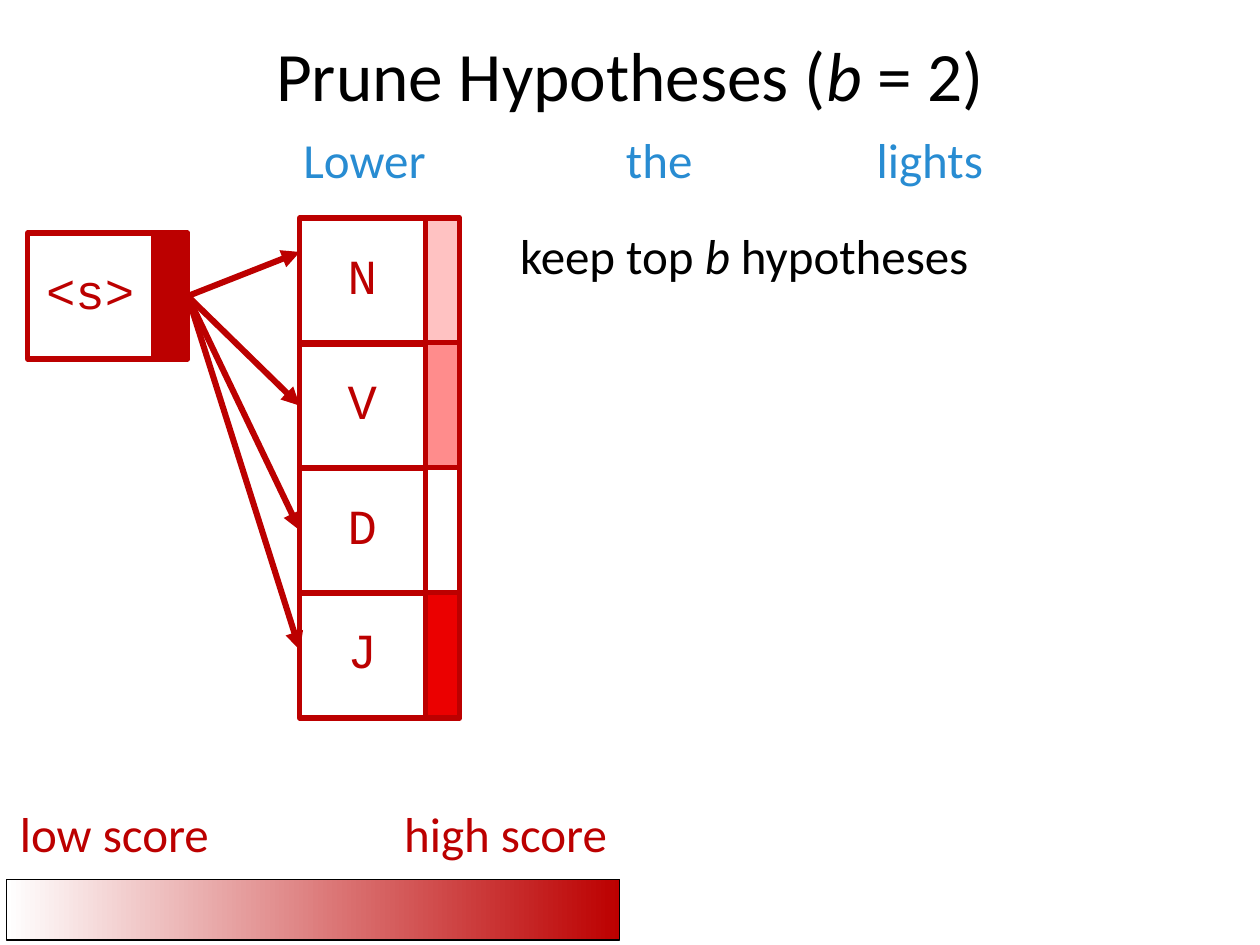
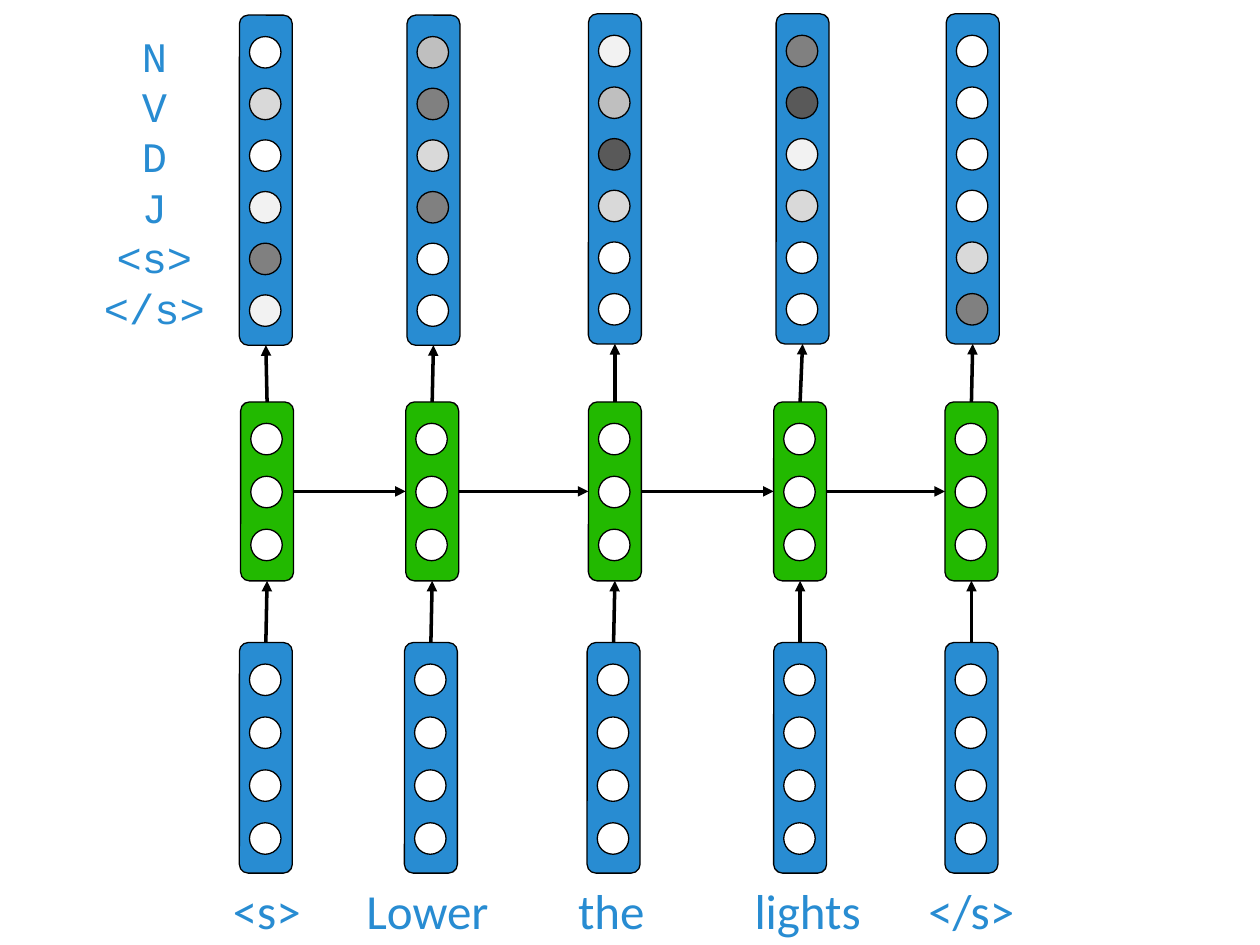
"""Build two slides on beam-search pruning and a recurrent tagger."""
from lxml import etree
from pptx import Presentation
from pptx import util as u
from pptx.dml import color
from pptx.enum import shapes, text
from pptx.oxml import ns

RED, BLUE, GREEN, BLACK, WHITE = "BC0000", "288CD2", "22B900", "000000", "FFFFFF"
STYLES = {
    "title": ({"name": "Calibri", "size": u.Pt(39.6)}, BLACK),
    "note": ({"name": "Calibri", "size": u.Pt(28)}, BLACK),
    "word": ({"name": "Calibri", "size": u.Pt(28)}, BLUE),
    "score": ({"name": "Calibri", "size": u.Pt(28)}, RED),
    "state": ({"name": "Courier New", "size": u.Pt(28)}, RED),
    "tag": ({"name": "Courier New", "size": u.Pt(24)}, BLUE),
}
RECT = shapes.MSO_SHAPE.RECTANGLE
ROUNDED = shapes.MSO_SHAPE.ROUNDED_RECTANGLE
OVAL = shapes.MSO_SHAPE.OVAL
TOP, LEFT, BOTTOM, RIGHT = range(4)

TITLE = ["Prune Hypotheses (", "b", " = 2)"]
NOTE = ["keep top ", "b", " hypotheses"]
SENTENCE = ["Lower", "the", "lights"]
SENTENCE_TABS = [2.56, 4.55]
START = ("<s>", RED)
HYPOTHESES = [("N", "FFC2C2", 2.0), ("V", "FF8C8C", None),
              ("D", "FFFFFF", None), ("J", "EB0000", 5.16)]
SCORE_ENDS = [("low score", 0.06), ("high score", 3.11)]

TAGS = ["N", "V", "D", "J", "<s>", "</s>"]
TOKENS = ["<s>", "Lower", "the", "lights", "</s>"]
TOKEN_TABS = [1.06, 2.74, 4.14, 5.52]
INPUTS = [(1.9, 5.1), (3.21, 5.1), (4.66, 5.1), (6.14, 5.1), (7.5, 5.1)]
HIDDENS = [(1.91, 3.19), (3.22, 3.19), (4.67, 3.19), (6.14, 3.19), (7.5, 3.19)]
OUTPUTS = [(1.9, 0.12), (3.23, 0.12), (4.67, 0.11), (6.16, 0.11), (7.51, 0.11)]
TAG_SHADES = [
    ["FFFFFF", "D9D9D9", "FFFFFF", "F2F2F2", "808080", "F2F2F2"],
    ["BFBFBF", "808080", "D9D9D9", "808080", "FFFFFF", "FFFFFF"],
    ["F2F2F2", "BFBFBF", "595959", "D9D9D9", "FFFFFF", "FFFFFF"],
    ["808080", "595959", "F2F2F2", "D9D9D9", "FFFFFF", "FFFFFF"],
    ["FFFFFF", "FFFFFF", "FFFFFF", "FFFFFF", "D9D9D9", "808080"],
]


def rgb(value):
    return color.RGBColor.from_string(value)


def inches(*lengths):
    return [u.Inches(length) for length in lengths]


def write(slide, at, paragraphs, style, centred=False, middle=False, tabs=()):
    frame = slide.shapes.add_textbox(*inches(*at)).text_frame
    frame.word_wrap = True
    if middle:
        frame.vertical_anchor = text.MSO_ANCHOR.MIDDLE
    values, ink = STYLES[style]
    for index, pieces in enumerate(paragraphs):
        line = frame.paragraphs[0] if index == 0 else frame.add_paragraph()
        if centred:
            line.alignment = text.PP_ALIGN.CENTER
        if tabs:
            stops = etree.SubElement(line._p.get_or_add_pPr(), ns.qn("a:tabLst"))
            for stop in tabs:
                etree.SubElement(stops, ns.qn("a:tab"), pos=str(u.Inches(stop)), algn="l")
        for piece in pieces:
            run = line.add_run()
            run.text = piece
            for name, value in values.items():
                setattr(run.font, name, value)
            run.font.color.rgb = rgb(ink)
            if piece == "b":
                run.font.italic = True


def draw(parent, kind, at, fill=None, line=BLACK, width=0.75):
    shape = parent.add_shape(kind, *inches(*at))
    shape.shadow.inherit = False
    if fill:
        shape.fill.solid()
        shape.fill.fore_color.rgb = rgb(fill)
    else:
        shape.fill.background()
    shape.line.color.rgb = rgb(line)
    shape.line.width = u.Pt(width)
    return shape


def arrow(slide, source, source_side, target, target_side, ink=BLACK, width=2, tip=None):
    link = slide.shapes.add_connector(shapes.MSO_CONNECTOR.STRAIGHT, 0, 0, 0, 0)
    link.begin_connect(source, source_side)
    if tip is None:
        link.end_connect(target, target_side)
    else:
        link.end_x, link.end_y = target.left, u.Inches(tip)
    link.line.color.rgb = rgb(ink)
    link.line.width = u.Pt(width)
    etree.SubElement(link.line._get_or_add_ln(), ns.qn("a:tailEnd"), type="triangle")
    etree.SubElement(link._element.spPr, ns.qn("a:effectLst"))


def state(slide, left, top, label, score):
    cell = draw(slide.shapes, RECT, (left, top, 1, 1), None, RED, 3)
    write(slide, (left, top + 0.17, 0.99, 0.57), [[label]], "state", centred=True)
    bar = draw(slide.shapes, RECT, (left + 1, top, 0.27, 1), score, RED, 3)
    return cell, bar


def layer(slide, places, height, fill, shades, step):
    strips = []
    for (left, top), column in zip(places, shades):
        parts = slide.shapes.add_group_shape().shapes
        strips.append(draw(parts, ROUNDED, (left, top, 0.42, height), fill))
        for row, shade in enumerate(column):
            draw(parts, OVAL, (left + 0.08, top + 0.17 + row * step, 0.25, 0.25), shade)
    return strips


def pruning_slide(slide):
    write(slide, (0.5, 0.19, 9, 0.79), [TITLE], "title", centred=True, middle=True)
    write(slide, (2.31, 0.98, 7.09, 0.57), [["\t".join(SENTENCE)]], "word", tabs=SENTENCE_TABS)
    write(slide, (4.03, 1.74, 5.97, 0.57), [NOTE], "note")
    start_bar = state(slide, 0.22, 1.85, *START)[1]
    cells = [state(slide, 2.38, 1.73 + row * 0.99, label, score)[0]
             for row, (label, score, _) in enumerate(HYPOTHESES)]
    for cell, (_, _, tip) in zip(cells, HYPOTHESES):
        arrow(slide, start_bar, RIGHT, cell, LEFT, RED, 3.5, tip)
    scale = draw(slide.shapes, RECT, (0.05, 6.98, 4.87, 0.48))
    scale.fill.gradient()
    scale.fill.gradient_angle = 0
    for stop, shade in zip(scale.fill.gradient_stops, (WHITE, RED)):
        stop.color.rgb = rgb(shade)
    for label, left in SCORE_ENDS:
        write(slide, (left, 6.33, 1.82, 0.57), [[label]], "score")


def tagger_slide(slide):
    write(slide, (1.75, 6.94, 6.43, 0.57), [["\t".join(TOKENS)]], "word", tabs=TOKEN_TABS)
    write(slide, (0.7, 0.19, 1.05, 2.52), [[tag] for tag in TAGS], "tag", centred=True)
    outputs = layer(slide, OUTPUTS, 2.62, BLUE, TAG_SHADES, 0.41)
    inputs = layer(slide, INPUTS, 1.83, BLUE, [[WHITE] * 4] * len(INPUTS), 0.42)
    hiddens = layer(slide, HIDDENS, 1.42, GREEN, [[WHITE] * 3] * len(HIDDENS), 0.42)
    for before, after in zip(hiddens, hiddens[1:]):
        arrow(slide, before, RIGHT, after, LEFT)
    for lower, upper in zip(inputs + hiddens, hiddens + outputs):
        arrow(slide, lower, TOP, upper, BOTTOM)


def main():
    deck = Presentation()
    deck.slide_width, deck.slide_height = inches(10, 7.5)
    for build in (pruning_slide, tagger_slide):
        build(deck.slides.add_slide(deck.slide_layouts[6]))
    deck.save("out.pptx")


if __name__ == "__main__":
    main()
